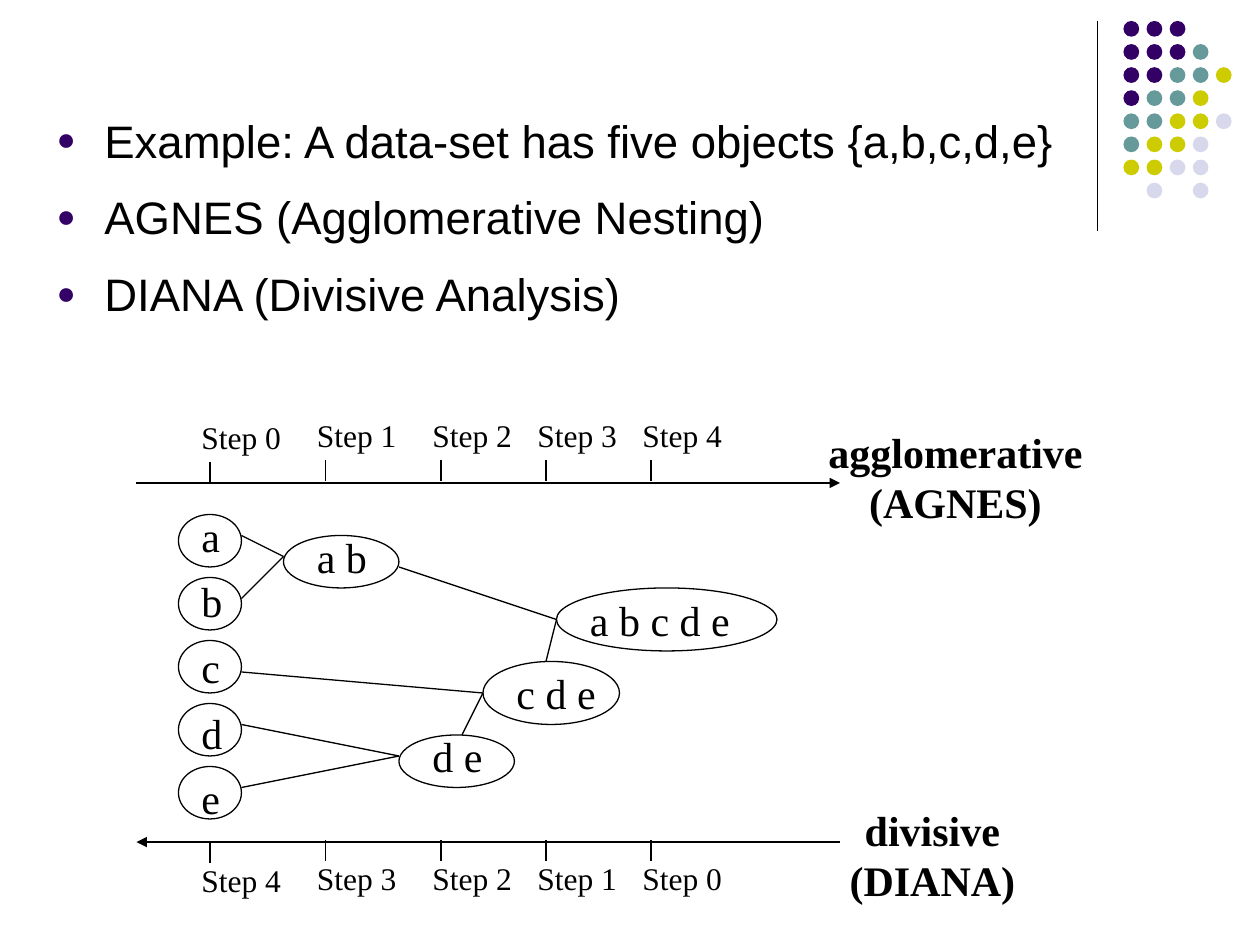
import pptx
import pptx.util
import pptx.dml.color
import pptx.enum.shapes
import pptx.enum.text
import pptx.oxml
import pptx.oxml.ns

# All places and sizes are in grid cells: 120 columns by 90 rows.
COLS, ROWS = 120, 90
CELL = pptx.util.Inches(10) / COLS
INK = {"black": "000000", "P": "330066", "T": "669999", "Y": "CCCC00", "L": "D8D8EC"}
SERIF, SANS = "Times New Roman", "Arial"
DOTS = ["PPP", "PPPT", "PPTTY", "PTTY", "TTYYL", "TYYL", "YYLL", " L L"]
TICKS = [7, 18, 29, 39, 49]
# Merged sets: left, top, width, height, rise of the label
SETS = {
    "a b": (10, 2, 11, 5, 1),
    "d e": (21, 21, 11, 5, 1),
    "c d e": (29, 14, 13, 6, 0),
    "a b c d e": (36, 7, 21, 6, 0),
}
LINKS = [
    (6, 2, 10, 4), (6, 8, 10, 4), (6, 20, 21, 23), (6, 26, 21, 23),
    (6, 15, 29, 17), (27, 21, 29, 17), (21, 5, 36, 10), (35, 14, 36, 10),
]


def emu(*cells):
    return [round(c * CELL) for c in cells]


def rgb(name):
    return pptx.dml.color.RGBColor.from_string(INK[name])


def tag(text):
    """Make an XML element in the drawing namespace."""
    return pptx.oxml.parse_xml(text.replace("/>", " %s/>" % pptx.oxml.ns.nsdecls("a"), 1))


def add_line(slide, x1, y1, x2, y2, width=0.75, arrow=None):
    line = slide.shapes.add_connector(
        pptx.enum.shapes.MSO_CONNECTOR.STRAIGHT, *emu(x1, y1, x2, y2))
    line.line.color.rgb = rgb("black")
    line.line.width = pptx.util.Pt(width)
    if arrow:
        line.line._get_or_add_ln().append(tag('<a:%s type="triangle"/>' % arrow))
    line._element.spPr.append(tag("<a:effectLst/>"))


def add_oval(slide, box, fill=None):
    """Draw a filled dot, or an outlined ring when no fill is given."""
    oval = slide.shapes.add_shape(pptx.enum.shapes.MSO_SHAPE.OVAL, *emu(*box))
    oval.shadow.inherit = False
    if fill:
        oval.fill.solid()
        oval.fill.fore_color.rgb = rgb(fill)
        oval.line.fill.background()
    else:
        oval.fill.background()
        oval.line.color.rgb = rgb("black")
        oval.line.width = pptx.util.Pt(0.75)


def add_text(slide, box, lines, size, face=SERIF, bold=False, mid=False, wrap=False):
    """Place lines of text; a box that does not wrap fits itself to them."""
    frame = slide.shapes.add_textbox(*emu(*box)).text_frame
    frame.word_wrap = wrap
    if not wrap:
        frame.auto_size = pptx.enum.text.MSO_AUTO_SIZE.SHAPE_TO_FIT_TEXT
    for i, text in enumerate(lines):
        para = frame.paragraphs[0] if i == 0 else frame.add_paragraph()
        if mid:
            para.alignment = pptx.enum.text.PP_ALIGN.CENTER
        run = para.add_run()
        run.text = text
        run.font.size = pptx.util.Pt(size)
        run.font.name = face
        run.font.bold = bold
        run.font.color.rgb = rgb("black")
    return frame


def add_decor(slide, box):
    left, top, width, height = box
    add_line(slide, left, top, left, top + height)
    for r, row in enumerate(DOTS):
        for c, key in enumerate(row):
            if key != " ":
                add_oval(slide, (left + 2.5 + 2.2 * c, top + 2.2 * r, 1.5, 1.5), key)


def add_points(slide, box, lines):
    frame = add_text(slide, box, lines, 26, SANS, wrap=True)
    for i, para in enumerate(frame.paragraphs):
        para.line_spacing = 1.2
        if i:
            para.space_before = pptx.util.Pt(6.5)
        props = para._p.get_or_add_pPr()
        indent = pptx.util.Inches(0.38)
        props.set("marL", str(indent))
        props.set("indent", str(-indent))
        color = tag("<a:buClr/>")
        color.append(tag('<a:srgbClr val="%s"/>' % INK["P"]))
        props.append(color)
        props.append(tag('<a:buSzPct val="70000"/>'))
        props.append(tag('<a:buFont typeface="Arial"/>'))
        props.append(tag('<a:buChar char="●"/>'))


def add_axis(slide, box, order, axis, label, tick, arrow):
    """Draw a step axis; axis, label and tick are rows below the box's top."""
    left, top, width, _ = box
    add_line(slide, left, top + axis, left + width, top + axis, 1.5, arrow)
    for i, (col, step) in enumerate(zip(TICKS, order)):
        x, y = left + col, top + (0.2 if i == 0 else 0)
        add_line(slide, x, y + tick, x, y + tick + 2)
        add_text(slide, (x - 2, y + label, 10, 4.8), ["Step %d" % step], 18, wrap=True)


def add_node(slide, box, name, dx, dy):
    left, top, _, _ = box
    add_text(slide, (left + dx, top + dy, 4.4 + 1.5 * (len(name) - 1), 6), [name], 24)
    add_oval(slide, box)


def add_tree(slide, box):
    left, top, _, _ = box
    for i, name in enumerate("abcde"):
        add_node(slide, (left, top + 6 * i, 6, 5), name, 1, 0.25 * i - 1)
    for name, (x, y, w, h, rise) in SETS.items():
        add_node(slide, (left + x, top + y, w, h), name, 2, -rise)
    for x1, y1, x2, y2 in LINKS:
        add_line(slide, left + x1, top + y1, left + x2, top + y2)


def main():
    deck = pptx.Presentation()
    deck.slide_width, deck.slide_height = emu(COLS, ROWS)
    slide = deck.slides.add_slide(deck.slide_layouts[6])
    add_decor(slide, (104.5, 2, 14, 20))
    add_points(slide, (4.2, 9.1, 104.3, 26.4), [
        "Example: A data-set has five objects {a,b,c,d,e}",
        "AGNES (Agglomerative Nesting)",
        "DIANA (Divisive Analysis)",
    ])
    add_axis(slide, (13, 39, 67, 7), range(5), 7, 0, 4.8, "tailEnd")
    add_tree(slide, (17, 49, 57, 29))
    add_axis(slide, (13, 80, 67, 6), range(4, -1, -1), 0.2, 1.2, 0, "headEnd")
    add_text(slide, (77.5, 40, 27, 10.8), ["agglomerative", "(AGNES)"], 24,
             bold=True, mid=True)
    add_text(slide, (79.3, 76, 19, 10.8), ["divisive", "(DIANA)"], 24,
             bold=True, mid=True)
    deck.save("out.pptx")


if __name__ == "__main__":
    main()
